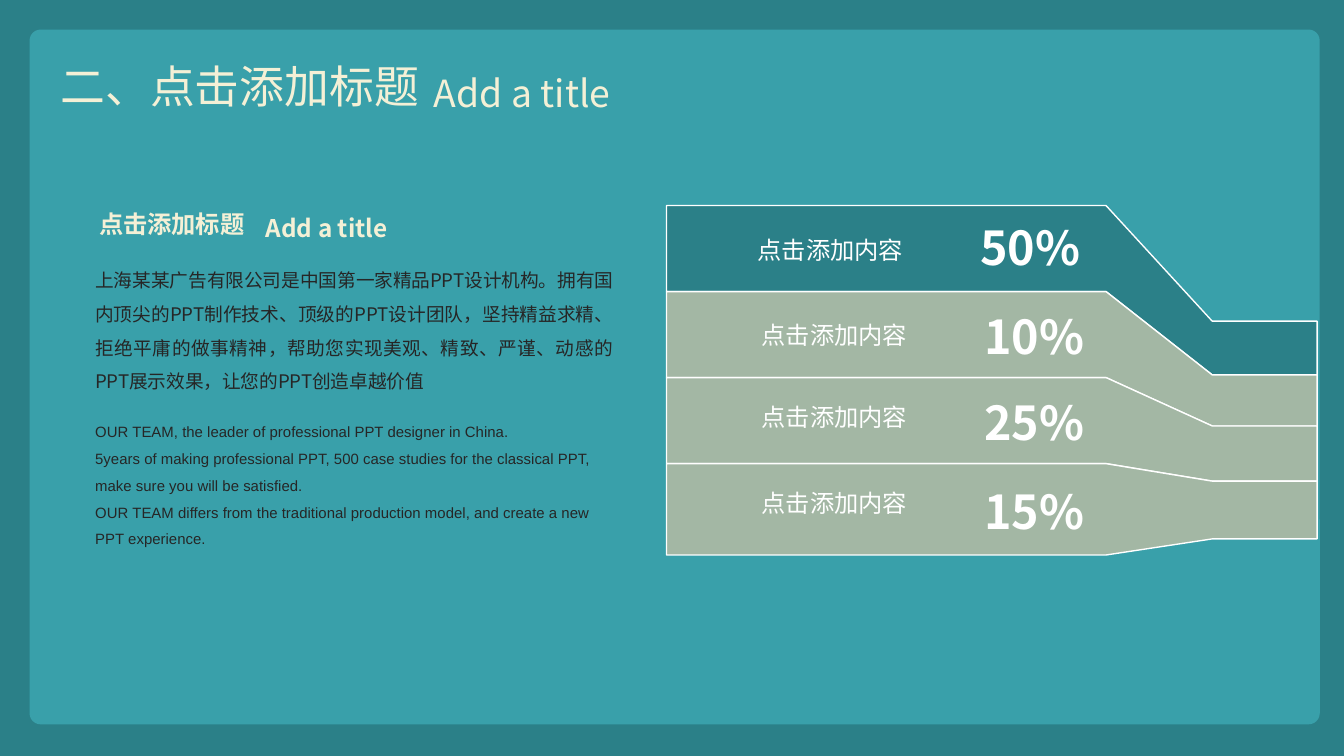
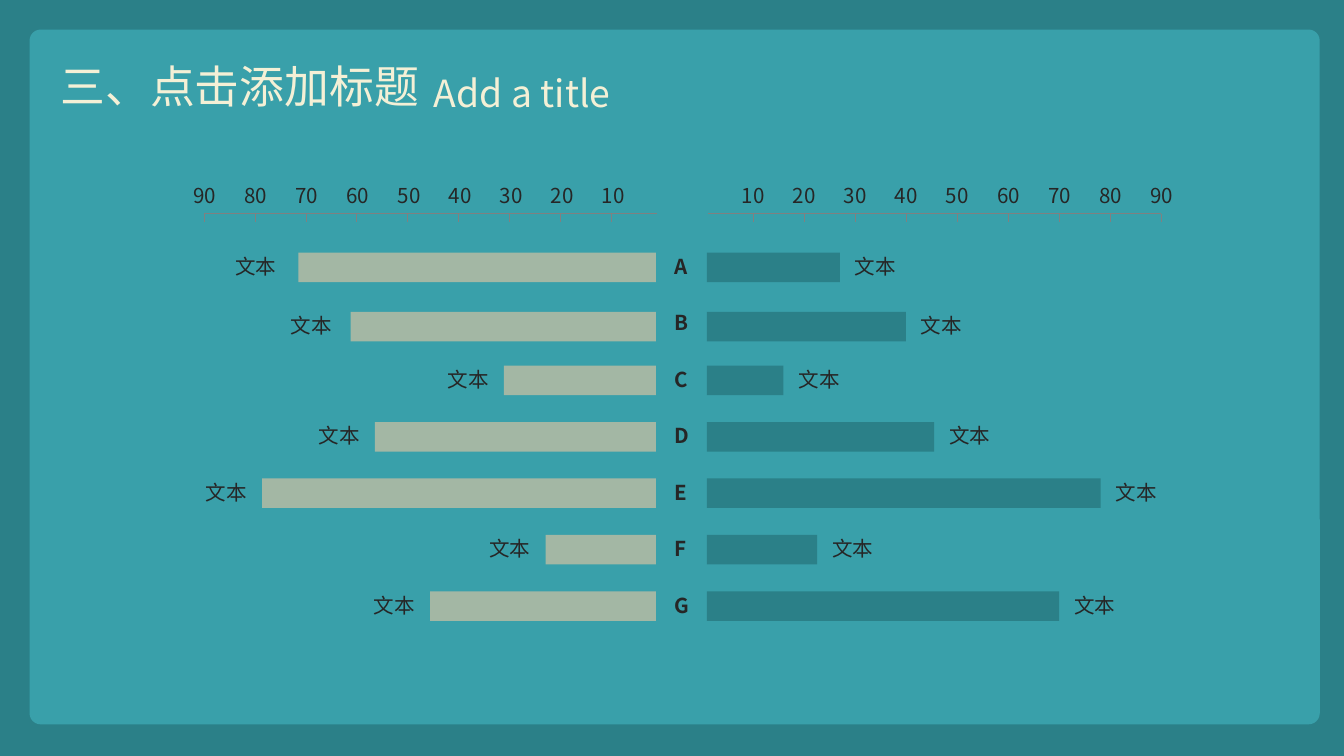
from itertools import pairwise

from lxml import etree
from pptx import Presentation
from pptx import util as u
from pptx.dml.color import RGBColor
from pptx.enum import shapes, text
from pptx.oxml.ns import qn

COLORS = {
    "dark": "2B8088", "panel": "39A0AA", "sage": "A3B7A4",
    "cream": "F4F0D6", "ink": "262626", "white": "FFFFFF", "grey": "808080",
}
RGB = {name: RGBColor.from_string(value) for name, value in COLORS.items()}
CJK = "Noto Sans CJK SC"
LEFT, CENTER, JUSTIFY = text.PP_ALIGN.LEFT, text.PP_ALIGN.CENTER, text.PP_ALIGN.JUSTIFY


def write(sp, box, words, size, color="ink", align=LEFT, bold=False, spacing=1.0,
          font=CJK, wrap=True):
    """Place a text shape, fill in its words and format every run."""
    sp.left, sp.top, sp.width, sp.height = map(u.Inches, box)
    tf = sp.text_frame
    tf.text = words
    tf.word_wrap = wrap
    tf.auto_size = text.MSO_AUTO_SIZE.SHAPE_TO_FIT_TEXT
    tf.vertical_anchor = text.MSO_ANCHOR.TOP
    for p in tf.paragraphs:
        p.alignment = align
        p.line_spacing = spacing
        for r in p.runs:
            r.font.size = u.Pt(size)
            r.font.bold = bold
            r.font.name = font
            r.font.color.rgb = RGB[color]
            ea = etree.SubElement(r.font._element, qn("a:ea"))
            ea.set("typeface", font)


def block(s, kind, box, color):
    """Add a plain filled shape without outline."""
    sp = s.shapes.add_shape(kind, *map(u.Inches, box))
    sp.shadow.inherit = False
    sp.fill.solid()
    sp.fill.fore_color.rgb = RGB[color]
    sp.line.fill.background()
    return sp


prs = Presentation()
prs.slide_width, prs.slide_height = u.Inches(10), u.Inches(5.625)

# Shared frame and title
for heading in ("二、点击添加标题", "三、点击添加标题"):
    s = prs.slides.add_slide(prs.slide_layouts[5])
    block(s, shapes.MSO_SHAPE.RECTANGLE, (0, 0, 10, 5.625), "dark")
    panel = block(s, shapes.MSO_SHAPE.ROUNDED_RECTANGLE, (0.22, 0.22, 9.6, 5.17), "panel")
    panel.adjustments[0] = 0.016
    title = s.shapes.title
    panel._element.addnext(title._element)
    write(title, (0.35, 0.39, 4.54, 0.5), heading, 24, "cream", JUSTIFY)
    write(s.shapes.add_textbox(0, 0, 0, 0), (3.13, 0.47, 4.65, 0.44), "Add a title", 20,
          "cream", JUSTIFY)

# Slide 1: funnel bands, edges given as (left y, right y)
s = prs.slides[0]
edges = [(1.53, 2.39), (2.17, 2.79), (2.81, 3.17), (3.45, 3.58), (4.13, 4.01)]
bands = [
    ("50%", "dark", 5.54, 1.7, 7.13, 1.58),
    ("10%", "sage", 5.57, 2.33, 7.16, 2.24),
    ("25%", "sage", 5.57, 2.94, 7.16, 2.88),
    ("15%", "sage", 5.57, 3.58, 7.16, 3.54),
]
for (upper, lower), (share, color, label_x, label_y, share_x, share_y) in zip(
        pairwise(edges), bands):
    outline = [(4.96, upper[0]), (8.23, upper[0]), (9.02, upper[1]), (9.8, upper[1]),
               (9.8, lower[1]), (9.02, lower[1]), (8.23, lower[0]), (4.96, lower[0])]
    points = [(u.Inches(x), u.Inches(y)) for x, y in outline]
    builder = s.shapes.build_freeform(*points[0])
    builder.add_line_segments(points[1:], close=True)
    sp = builder.convert_to_shape()
    sp.shadow.inherit = False
    sp.fill.solid()
    sp.fill.fore_color.rgb = RGB[color]
    sp.line.color.rgb = RGB["white"]
    sp.line.width = u.Pt(0)
    write(s.shapes.add_textbox(0, 0, 0, 0), (label_x, label_y, 1.8, 0.32),
          "点击添加内容", 13, "white")
    write(s.shapes.add_textbox(0, 0, 0, 0), (share_x, share_y, 1.07, 0.52),
          share, 25, "white", CENTER, bold=True)

# Slide 1: text column
chinese = ("上海某某广告有限公司是中国第一家精品PPT设计机构。拥有国内顶尖的PPT制作技术、"
           "顶级的PPT设计团队，坚持精益求精、拒绝平庸的做事精神，帮助您实现美观、精致、严谨、"
           "动感的PPT展示效果，让您的PPT创造卓越价值")
english = "\n".join([
    "OUR TEAM, the leader of professional PPT designer in China.",
    "5years of making professional PPT, 500 case studies for the classical PPT, "
    "make sure you will be satisfied.",
    "OUR TEAM differs from the traditional production model, and create a new "
    "PPT experience.",
])
write(s.shapes.add_textbox(0, 0, 0, 0), (0.61, 1.87, 4.05, 1.11), chinese, 10,
      align=JUSTIFY, spacing=1.5)
write(s.shapes.add_textbox(0, 0, 0, 0), (0.61, 3.03, 4.05, 1.11), english, 8,
      spacing=1.5, font="Arial")
for box, words in [((0.64, 1.4, 1.36, 0.39), "点击添加标题"),
                   ((1.88, 1.43, 1.18, 0.39), "Add a title")]:
    write(s.shapes.add_textbox(0, 0, 0, 0), box, words, 13, "cream", JUSTIFY,
          bold=True, spacing=1.5)

# Slide 2: paired bars as (letter, top, left width, left label gap, right width)
s = prs.slides[1]
rows = [
    ("A", 1.88, 2.66, 0.05, 0.99),
    ("B", 2.32, 2.27, 0.03, 1.48),
    ("C", 2.72, 1.13, 0, 0.57),
    ("D", 3.14, 2.09, 0, 1.69),
    ("E", 3.56, 2.93, 0, 2.93),
    ("F", 3.98, 0.82, 0, 0.82),
    ("G", 4.4, 1.68, 0, 2.62),
]
for i, (letter, top, left_w, gap, right_w) in enumerate(rows):
    write(s.shapes.add_textbox(0, 0, 0, 0), (4.92, 1.84 + 0.42 * i, 0.31, 0.29),
          letter, 11, bold=True, wrap=False)
    left_x = 4.88 - left_w
    for x, width, color, label_x in [(left_x, left_w, "sage", left_x - 0.53 - gap),
                                     (5.26, right_w, "dark", 5.26 + right_w)]:
        block(s, shapes.MSO_SHAPE.RECTANGLE, (x, top, width, 0.22), color)
        write(s.shapes.add_textbox(0, 0, 0, 0), (label_x, top - 0.04, 0.53, 0.29),
              "文本", 11, align=CENTER)

# Slide 2: axes as (start, end, first tick, first number, direction)
for start, end, tick_x, number_x, way in [(1.52, 4.89, 4.55, 4.38, -1),
                                          (5.27, 8.64, 5.61, 5.42, 1)]:
    lines = [(start, 1.59, end, 1.59)]
    for i in range(9):
        x = tick_x + way * i * 3.03 / 8
        lines.append((x, 1.59, x, 1.65))
        write(s.shapes.add_textbox(0, 0, 0, 0),
              (number_x + way * 0.38 * i, 1.31, 0.38, 0.29),
              str(10 * (i + 1)), 11, wrap=False)
    for line in lines:
        cn = s.shapes.add_connector(shapes.MSO_CONNECTOR.STRAIGHT, *map(u.Inches, line))
        cn.line.color.rgb = RGB["grey"]
        cn.line.width = u.Pt(0.5)
        etree.SubElement(cn._element.spPr, qn("a:effectLst"))

prs.save("out.pptx")
